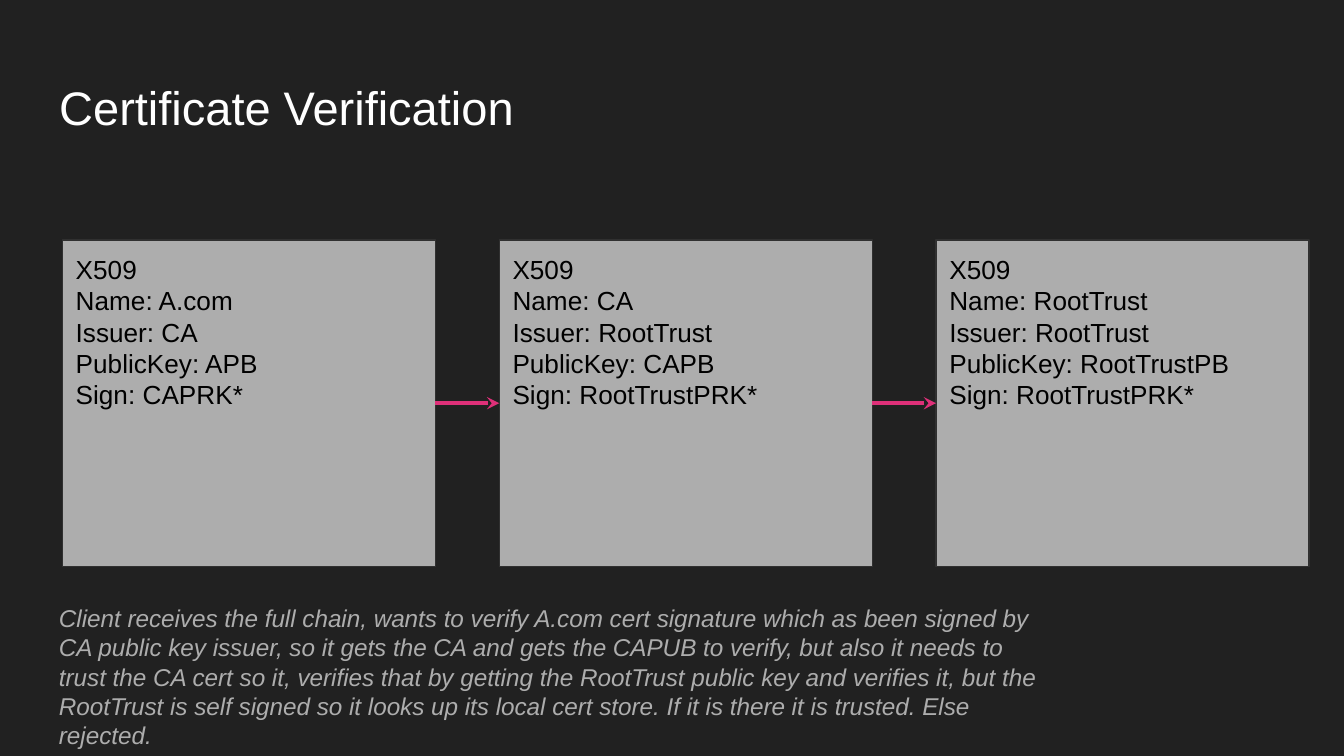
from itertools import pairwise

from lxml import etree
from pptx import Presentation
from pptx.dml.color import RGBColor
from pptx.enum import shapes, text
from pptx.oxml.ns import qn
from pptx.util import Emu, Pt

TITLE = "Certificate Verification"
CERTIFICATES = [
    ["X509", "Name: A.com", "Issuer: CA", "PublicKey: APB", "Sign: CAPRK*"],
    ["X509", "Name: CA", "Issuer: RootTrust", "PublicKey: CAPB", "Sign: RootTrustPRK*"],
    ["X509", "Name: RootTrust", "Issuer: RootTrust", "PublicKey: RootTrustPB",
     "Sign: RootTrustPRK*"],
]
NOTE = (
    "Client receives the full chain, wants to verify A.com cert signature which as been "
    "signed by CA public key issuer, so it gets the CA and gets the CAPUB to verify, but "
    "also it needs to trust the CA cert so it, verifies that by getting the RootTrust "
    "public key and verifies it, but the RootTrust is self signed so it looks up its local "
    "cert store. If it is there it is trusted. Else rejected."
)

PX = 4572  # 200 px to the inch
SLIDE_W, SLIDE_H = 2000, 1125
TITLE_BOX = (68, 97, 1864, 126)
NOTE_BOX = (68, 878, 1496, 184)
CARD_X, CARD_Y, CARD_W, CARD_H, CARD_STEP = 93, 357, 555, 486, 650
INSET = 20


def px(*lengths):
    return [Emu(n * PX) for n in lengths]


def color(value):
    return RGBColor.from_string(value)


def write(sp, lines, size, hue, italic=False):
    tf = sp.text_frame
    inset = Emu(INSET * PX)
    frame = dict(word_wrap=True, auto_size=text.MSO_AUTO_SIZE.NONE,
                 vertical_anchor=text.MSO_ANCHOR.TOP, margin_left=inset,
                 margin_top=inset, margin_right=inset, margin_bottom=inset)
    for name, value in frame.items():
        setattr(tf, name, value)
    tf.text = "\n".join(lines)
    for p in tf.paragraphs:
        p.alignment = text.PP_ALIGN.LEFT
        for r in p.runs:
            for name, value in dict(name="Arial", size=Pt(size), italic=italic).items():
                setattr(r.font, name, value)
            r.font.color.rgb = color(hue)


def add_card(s, index, lines):
    sp = s.shapes.add_shape(shapes.MSO_SHAPE.RECTANGLE,
                            *px(CARD_X + index * CARD_STEP, CARD_Y, CARD_W, CARD_H))
    sp.shadow.inherit = False
    sp.fill.solid()
    sp.fill.fore_color.rgb = color("ADADAD")
    sp.line.color.rgb = color("303030")
    sp.line.width = Pt(0.75)
    write(sp, lines, 14, "000000")
    return sp


def add_arrow(s, source, target):
    """Join two cards, with the arrowhead at the target."""
    line = s.shapes.add_connector(shapes.MSO_CONNECTOR.CURVE, 0, 0, 0, 0)
    line.begin_connect(target, 1)
    line.end_connect(source, 3)
    line.line.color.rgb = color("DF3079")
    line.line.width = Pt(2.25)
    sp_pr = line._element.spPr
    etree.SubElement(sp_pr.find(qn("a:ln")), qn("a:headEnd"), type="stealth")
    etree.SubElement(sp_pr, qn("a:effectLst"))


def main():
    prs = Presentation()
    prs.slide_width, prs.slide_height = px(SLIDE_W, SLIDE_H)
    s = prs.slides.add_slide(prs.slide_layouts[5])
    s.background.fill.solid()
    s.background.fill.fore_color.rgb = color("212121")

    title = s.shapes.title
    title.left, title.top, title.width, title.height = px(*TITLE_BOX)
    write(title, [TITLE], 25.2, "FFFFFF")

    cards = [add_card(s, i, lines) for i, lines in enumerate(CERTIFICATES)]
    for source, target in pairwise(cards):
        add_arrow(s, source, target)

    write(s.shapes.add_textbox(*px(*NOTE_BOX)), [NOTE], 13, "ADADAD", italic=True)
    prs.save("out.pptx")


if __name__ == "__main__":
    main()
